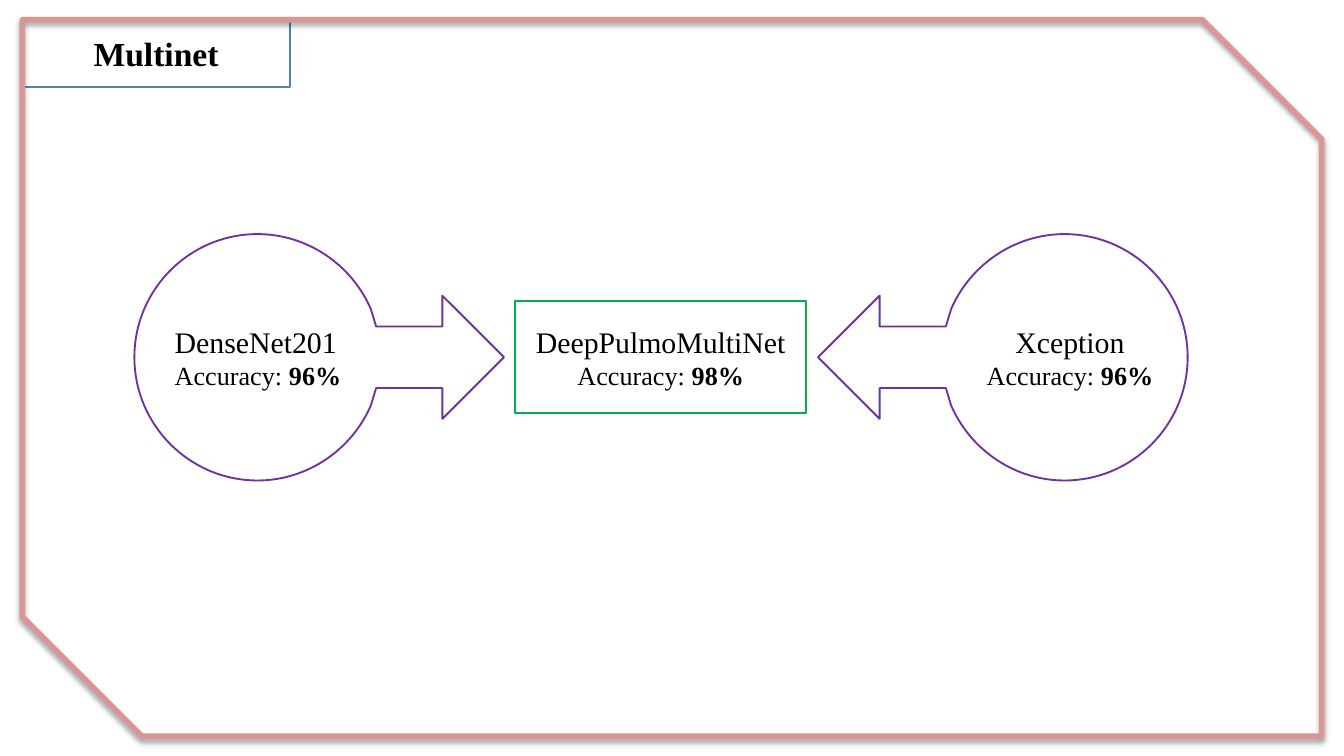
from dataclasses import dataclass

from lxml.etree import SubElement
from pptx import Presentation
from pptx.dml.color import RGBColor
from pptx.enum.shapes import MSO_SHAPE
from pptx.enum.text import MSO_ANCHOR, PP_ALIGN
from pptx.oxml.ns import qn
from pptx.util import Pt

FONT = "Times New Roman"
WHITE, BLACK, BLUE = "FFFFFF", "000000", "4F81BD"
ROSE, PURPLE, GREEN = "D99694", "7030A0", "00B050"
LEFT, TOP = 12, 10.6
MIDDLE_Y = 191.4

# Callout outline around the circle's center, pointing right
UPPER_ARC = [(0, -66), (26.6, -66), (50.4, -49.6), (60.7, -25.8)]
UPPER_ARROW = [(63.5, -16.5), (99, -16.5), (99, -33)]
BACK_ARCS = [(-36.4, 66), (-66, 36.4), (-66, 0),
             (-66, -36.4), (-36.4, -66), (0, -66)]


@dataclass
class Span:
    text: str
    size: float
    bold: bool = False


@dataclass
class Model:
    name: str
    accuracy: str
    align: PP_ALIGN = PP_ALIGN.CENTER
    left_inset: float = 0

    def lines(self) -> list[list[Span]]:
        return [[Span(self.name, 16)],
                [Span("Accuracy: ", 14), Span(self.accuracy, 14, True)]]


@dataclass
class Callout:
    model: Model
    center_x: float
    direction: int  # 1 points right, -1 points left


def color(value: str) -> RGBColor:
    return RGBColor.from_string(value)


def style(shape, line: str, width: float = 1, fill: str | None = WHITE) -> None:
    shape.shadow.inherit = False
    if fill:
        shape.fill.solid()
        shape.fill.fore_color.rgb = color(fill)
    else:
        shape.fill.background()
    shape.line.color.rgb = color(line)
    shape.line.width = Pt(width)


def write(shape, lines: list[list[Span]], align=PP_ALIGN.CENTER, left_inset: float = 0) -> None:
    frame = shape.text_frame
    frame_format = {
        "word_wrap": True, "vertical_anchor": MSO_ANCHOR.MIDDLE,
        "margin_left": Pt(left_inset), "margin_right": 0,
        "margin_top": 0, "margin_bottom": 0,
    }
    for name, value in frame_format.items():
        setattr(frame, name, value)
    for index, spans in enumerate(lines):
        para = frame.add_paragraph() if index else frame.paragraphs[0]
        para.alignment = align
        for span in spans:
            run = para.add_run()
            run.text = span.text
            run_format = {"name": FONT, "size": Pt(span.size), "bold": span.bold}
            for name, value in run_format.items():
                setattr(run.font, name, value)
            run.font.color.rgb = color(BLACK)


def add_shadow(shape) -> None:
    effects = shape.element.spPr.find(qn("a:effectLst"))
    shadow = SubElement(effects, qn("a:outerShdw"), blurRad=str(Pt(3.1)),
                        dist=str(Pt(1.6)), dir="5400000", rotWithShape="0")
    shade = SubElement(shadow, qn("a:srgbClr"), val=BLACK)
    SubElement(shade, qn("a:alpha"), val="38000")


def bend(shape, starts: list[int]) -> None:
    """Turn each run of three line segments into one Bezier curve."""
    segments = list(shape.element.iter(qn("a:lnTo")))
    for start in starts:
        curve, *others = segments[start:start + 3]
        curve.tag = qn("a:cubicBezTo")
        for segment in others:
            curve.append(segment[0])
            segment.getparent().remove(segment)


def add_callout(page, callout: Callout) -> None:
    """Draw a circle that grows into an arrow."""
    upper = UPPER_ARC + UPPER_ARROW
    lower = [(x, -y) for x, y in reversed(upper)]
    outline = upper + [(132, 0)] + lower + BACK_ARCS
    points = [(Pt(callout.center_x + callout.direction * x), Pt(MIDDLE_Y + y))
              for x, y in outline]
    builder = page.shapes.build_freeform(*points[0], scale=1.0)
    builder.add_line_segments(points[1:], close=True)
    shape = builder.convert_to_shape()
    bend(shape, [0, 11, 14, 17])
    style(shape, PURPLE)
    model = callout.model
    write(shape, model.lines(), model.align, model.left_inset)


def main() -> None:
    deck = Presentation()
    deck.slide_width, deck.slide_height = Pt(720), Pt(405)
    page = deck.slides.add_slide(deck.slide_layouts[5])

    # Title in the corner
    title = page.shapes.title
    title_box = {"left": LEFT, "top": TOP, "width": 143.28, "height": 36}
    for name, value in title_box.items():
        setattr(title, name, Pt(value))
    style(title, BLUE)
    write(title, [[Span("Multinet", 18, True)]])

    # Page frame with two cut corners
    border = page.shapes.add_shape(MSO_SHAPE.SNIP_2_DIAG_RECTANGLE, Pt(LEFT), Pt(TOP),
                                   Pt(696), Pt(383.8))
    style(border, ROSE, 3, fill=None)
    add_shadow(border)

    # Left model points at the combined one
    add_callout(page, Callout(Model("DenseNet201", "96%", PP_ALIGN.LEFT, 21.6), 138, 1))

    # Combined model
    combined = page.shapes.add_shape(MSO_SHAPE.RECTANGLE, Pt(276), Pt(161.4),
                                     Pt(156), Pt(60))
    style(combined, GREEN)
    write(combined, Model("DeepPulmoMultiNet", "98%").lines())

    # Right model points back at it
    add_callout(page, Callout(Model("Xception", "96%", left_inset=72), 570.24, -1))

    deck.save("out.pptx")


if __name__ == "__main__":
    main()
